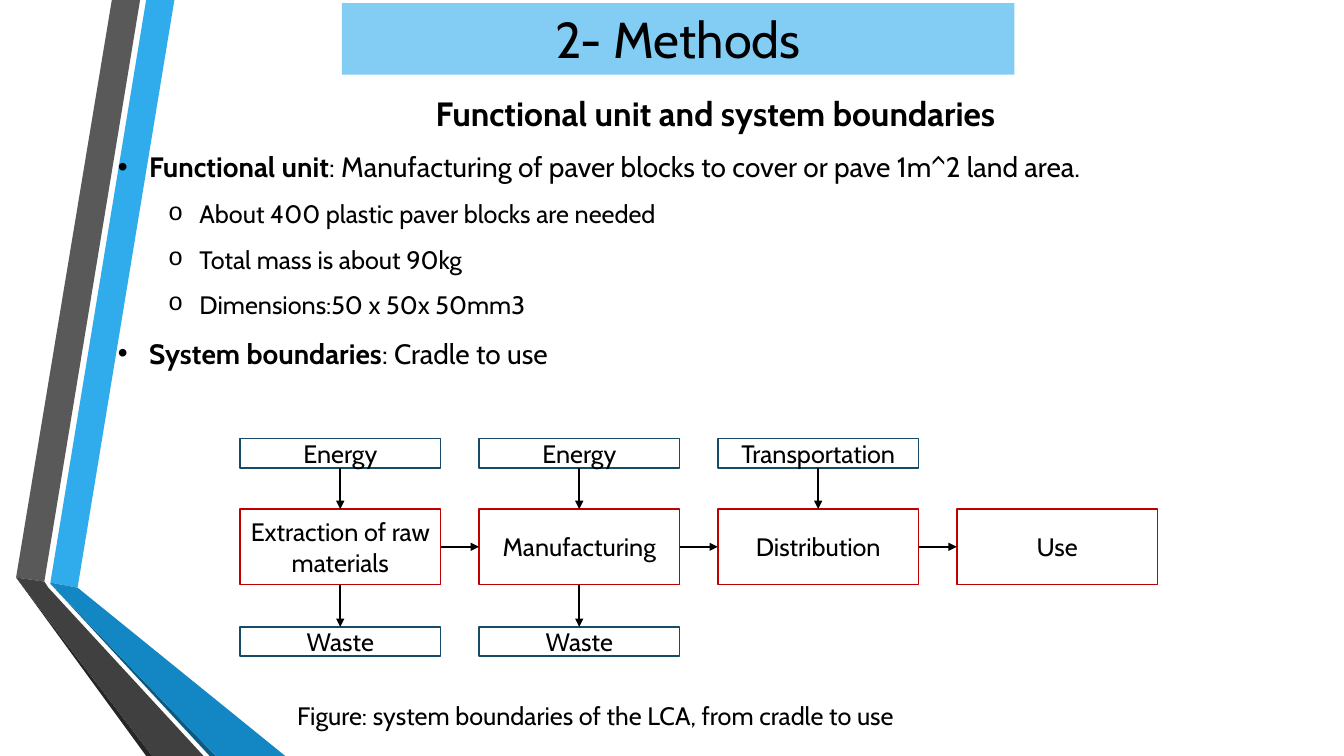
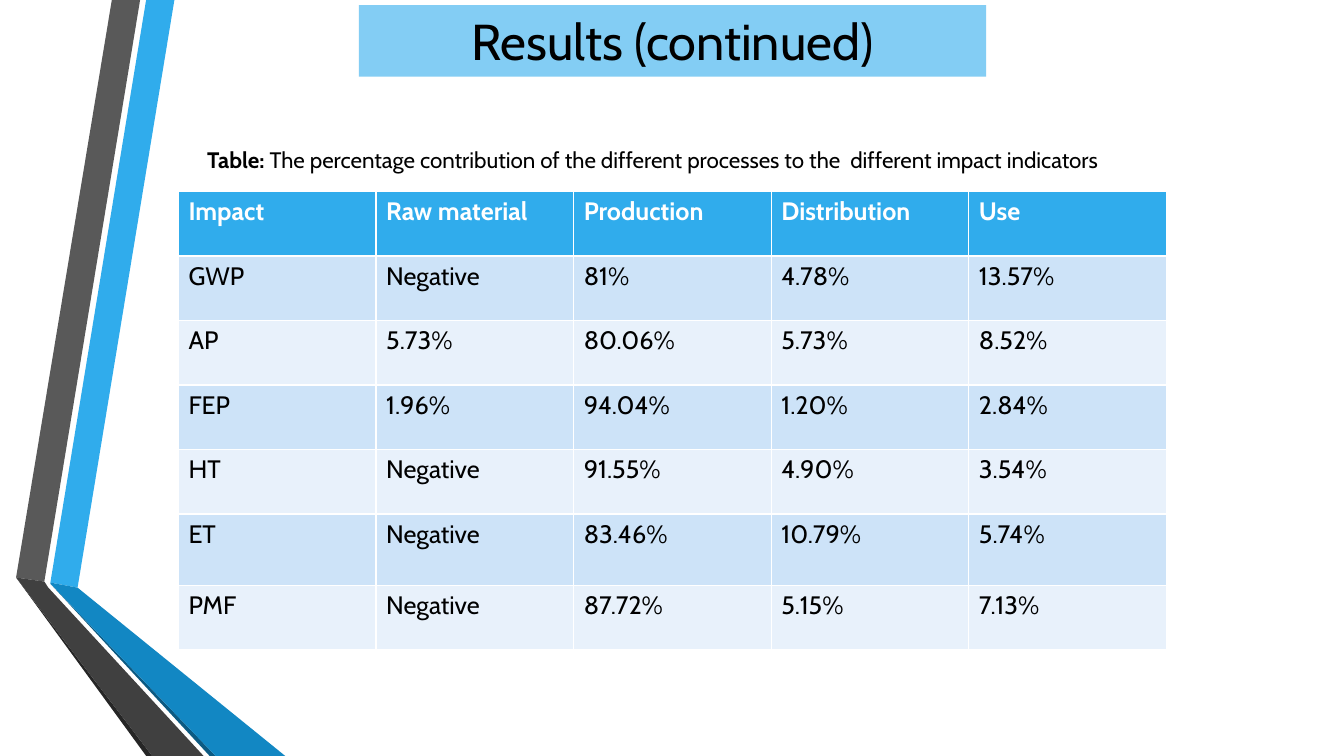
from lxml import etree
from pptx import Presentation
from pptx.enum.shapes import MSO_CONNECTOR as CONNECTOR, MSO_SHAPE as SHAPE
from pptx.enum.text import MSO_ANCHOR as ANCHOR, MSO_AUTO_SIZE as AUTO_SIZE, PP_ALIGN as ALIGN
from pptx.dml.color import RGBColor
from pptx.oxml.ns import qn
from pptx.util import Inches, Pt

FONT = "Cabin"
BLACK, WHITE = "000000", "FFFFFF"
TITLE_BLUE, HEADER_BLUE = "83CDF4", "30ACEC"
STAGE_RED, FLOW_BLUE = "C00000", "154B67"
ROW_COLORS = ["CDE3F8", "E8F1FB"]

RIBBONS = [
    ("30ACEC", [(0.5, 5.78), (0.77, 5.83), (1.73, 0), (1.45, 0)]),
    ("595959", [(1.39, 0), (1.11, 0), (0.16, 5.73), (0.44, 5.77)]),
    ("262626", [(0.16, 5.73), (1.45, 7.5), (1.51, 7.5)]),
    ("0C5A82", [(0.5, 5.79), (2.08, 7.5), (2.14, 7.5)]),
    ("1287C3", [(0.5, 5.79), (2.14, 7.5), (2.83, 7.5), (0.77, 5.83), (0.5, 5.78)]),
    ("404040", [(2.02, 7.5), (0.48, 5.83), (0.44, 5.77), (0.16, 5.73), (1.51, 7.5)]),
]


def paint(fill, color):
    """Make the fill of a shape, line, cell or font solid; None clears it."""
    if color is None:
        fill.background()
    else:
        fill.solid()
        fill.fore_color.rgb = RGBColor.from_string(color)


def write(paragraph, text, size, align=ALIGN.LEFT, color=BLACK, bold=False, lead=""):
    """Fill a paragraph; lead is a bold opening before the text."""
    paragraph.alignment = align
    paragraph.font.name = FONT
    paragraph.font.size = Pt(size)
    paint(paragraph.font.fill, color)
    if lead:
        paragraph.add_run().text = lead
        paragraph.runs[0].font.bold = True
    run = paragraph.add_run()
    run.text = text
    run.font.bold = bold


presentation = Presentation()
presentation.slide_width = Inches(13.33)
presentation.slide_height = Inches(7.5)
layout = presentation.slide_layouts[5]

# Titles
for placeholder in list(layout.placeholders)[1:]:
    placeholder.element.getparent().remove(placeholder.element)
for text, left, top, width in [
    ("2- Methods", 3.39, 0.03, 6.67),
    ("Results (continued)", 3.56, 0.05, 6.22),
]:
    title = presentation.slides.add_slide(layout).shapes.title
    title.left, title.top = Inches(left), Inches(top)
    title.width, title.height = Inches(width), Inches(0.71)
    title.text_frame.auto_size = AUTO_SIZE.NONE
    title.text_frame.vertical_anchor = ANCHOR.MIDDLE
    paint(title.fill, TITLE_BLUE)
    write(title.text_frame.paragraphs[0], text, 36, ALIGN.CENTER)
methods, results = presentation.slides

# Ribbons, drawn once and kept on the layout
for color, outline in RIBBONS:
    points = [(Inches(x), Inches(y)) for x, y in outline]
    builder = methods.shapes.build_freeform(*points[0])
    builder.add_line_segments(points[1:], close=True)
    ribbon = builder.convert_to_shape()
    ribbon.shadow.inherit = False
    paint(ribbon.fill, color)
    paint(ribbon.line.fill, None)
    layout.shapes.element.append(ribbon.element)

# Methods: functional unit and boundaries
body = methods.shapes.add_textbox(Inches(1.07), Inches(0.67), Inches(12.05), Inches(3.03))
body.text_frame.word_wrap = True
heading = body.text_frame.paragraphs[0]
heading.line_spacing = 1.5
write(heading, "Functional unit and system boundaries", 24, ALIGN.CENTER, bold=True)
for level, lead, text in [
    (0, "Functional unit", ": Manufacturing of paver blocks to cover or pave 1m^2 land area."),
    (1, "", "About 400 plastic paver blocks are needed"),
    (1, "", "Total mass is about 90kg"),
    (1, "", "Dimensions:50 x 50x 50mm3"),
    (0, "System boundaries", ": Cradle to use"),
]:
    paragraph = body.text_frame.add_paragraph()
    paragraph.level = level
    paragraph.line_spacing = 1.5
    properties = paragraph._p.get_or_add_pPr()
    properties.set("marL", str(Inches(0.31 + 0.5 * level)))
    properties.set("indent", str(Inches(-0.31)))
    bullet_font, bullet = [("Arial", "•"), ("Courier New", "o")][level]
    etree.SubElement(properties, qn("a:buFont"), typeface=bullet_font)
    etree.SubElement(properties, qn("a:buChar"), char=bullet)
    write(paragraph, text, 20 - 2 * level, ALIGN.JUSTIFY, lead=lead)

# Methods: flow diagram, one column per life-cycle stage
COLUMN_LEFT, COLUMN_STEP, BOX_WIDTH = 2.38, 2.37, 1.99
DIAGRAM_ROWS = [  # top, height, line colour, labels by column
    (4.35, 0.29, FLOW_BLUE, ["Energy", "Energy", "Transportation"]),
    (5.05, 0.75, STAGE_RED, ["Extraction of raw materials", "Manufacturing", "Distribution", "Use"]),
    (6.22, 0.29, FLOW_BLUE, ["Waste", "Waste"]),
]
boxes = {}
for row, (top, height, color, labels) in enumerate(DIAGRAM_ROWS):
    for column, label in enumerate(labels):
        left = COLUMN_LEFT + COLUMN_STEP * column
        box = methods.shapes.add_shape(
            SHAPE.RECTANGLE, Inches(left), Inches(top), Inches(BOX_WIDTH), Inches(height))
        box.shadow.inherit = False
        paint(box.fill, None)
        paint(box.line.fill, color)
        box.line.width = Pt(1.25)
        box.text_frame.word_wrap = True
        box.text_frame.vertical_anchor = ANCHOR.MIDDLE
        write(box.text_frame.paragraphs[0], label, 18, ALIGN.CENTER)
        boxes[row, column] = box

TOP, LEFT, BOTTOM, RIGHT = range(4)
for row, column in boxes:
    for target, start_side, end_side in [
        ((row + 1, column), BOTTOM, TOP),
        ((row, column + 1), RIGHT, LEFT),
    ]:
        if target not in boxes or (start_side == RIGHT and row != 1):
            continue
        arrow = methods.shapes.add_connector(CONNECTOR.STRAIGHT, 0, 0, 0, 0)
        arrow.begin_connect(boxes[row, column], start_side)
        arrow.end_connect(boxes[target], end_side)
        paint(arrow.line.fill, BLACK)
        arrow.line.width = Pt(1.75)
        etree.SubElement(arrow.line._get_or_add_ln(), qn("a:tailEnd"), type="triangle")
        etree.SubElement(arrow.element.spPr, qn("a:effectLst"))

caption = methods.shapes.add_textbox(Inches(2.85), Inches(6.9), Inches(6.67), Inches(0.4))
caption.text_frame.word_wrap = True
write(caption.text_frame.paragraphs[0],
      "Figure: system boundaries of the LCA, from cradle to use", 18, ALIGN.JUSTIFY)

# Results: contribution table
CONTRIBUTIONS = [
    ["Impact", "Raw material", "Production", "Distribution", "Use"],
    ["GWP", "Negative", "81%", "4.78%", "13.57%"],
    ["AP", "5.73%", "80.06%", "5.73%", "8.52%"],
    ["FEP", "1.96%", "94.04%", "1.20%", "2.84%"],
    ["HT", "Negative", "91.55%", "4.90%", "3.54%"],
    ["ET", "Negative", "83.46%", "10.79%", "5.74%"],
    ["PMF", "Negative", "87.72%", "5.15%", "7.13%"],
]
table = results.shapes.add_table(
    len(CONTRIBUTIONS), len(CONTRIBUTIONS[0]),
    Inches(1.77), Inches(1.9), Inches(9.8), Inches(4.48)).table
table.rows[5].height = Inches(0.71)
for row, values in enumerate(CONTRIBUTIONS):
    header = row == 0
    for column, value in enumerate(values):
        cell = table.cell(row, column)
        paint(cell.fill, HEADER_BLUE if header else ROW_COLORS[(row - 1) % 2])
        write(cell.text_frame.paragraphs[0], value, 18,
              color=WHITE if header else BLACK, bold=header)

caption = results.shapes.add_textbox(Inches(1.3), Inches(1.38), Inches(10.35), Inches(0.38))
caption.text_frame.word_wrap = True
caption.text_frame.paragraphs[0].line_spacing = 1.07
write(caption.text_frame.paragraphs[0],
      "The percentage contribution of the different processes to the  different impact indicators",
      16, ALIGN.CENTER, lead="Table: ")

presentation.save("out.pptx")
